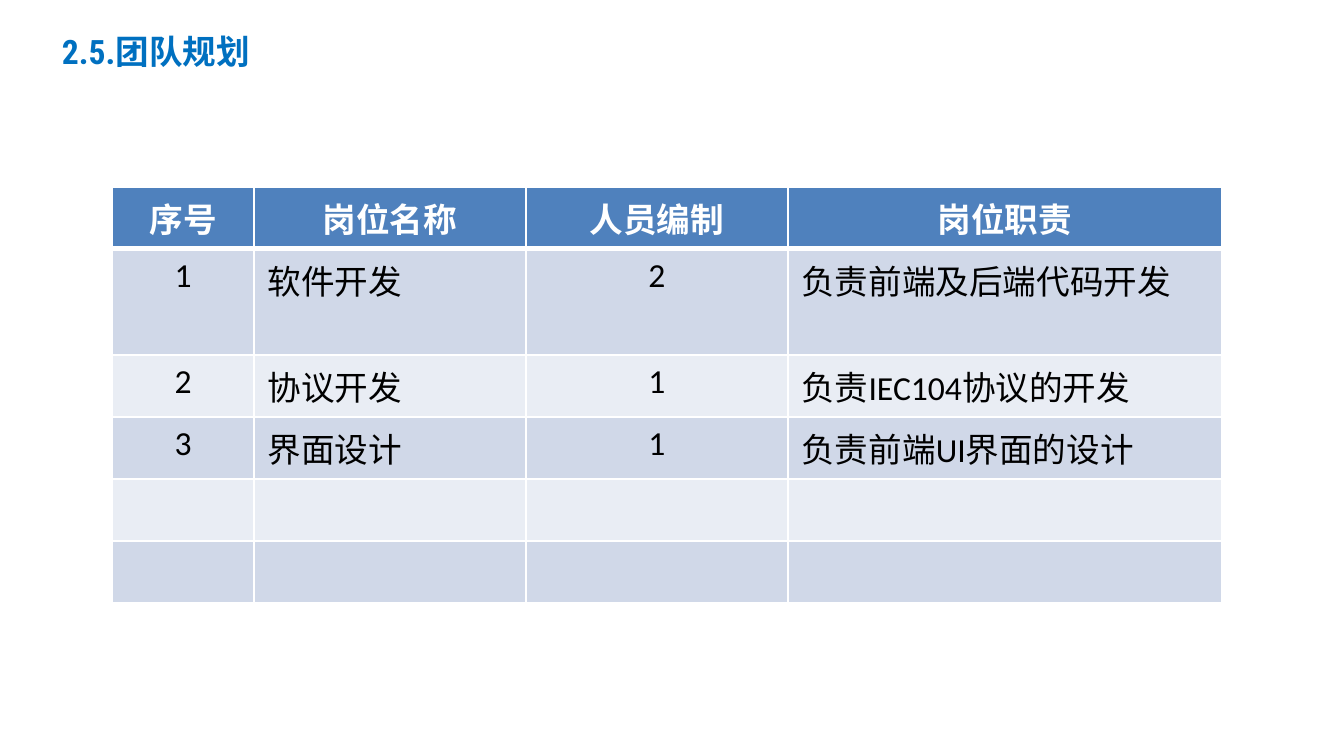
from lxml import etree
from pptx import Presentation
from pptx import util as u
from pptx.dml.color import RGBColor
from pptx.enum import text
from pptx.oxml.ns import qn

TITLE = "2.5.团队规划"
HEADER = ("序号", "岗位名称", "人员编制", "岗位职责")
POSITIONS = [
    ("1", "软件开发", "2", "负责前端及后端代码开发"),
    ("2", "协议开发", "1", "负责IEC104协议的开发"),
    ("3", "界面设计", "1", "负责前端UI界面的设计"),
    ("", "", "", ""),
    ("", "", "", ""),
]
CENTRED_COLUMNS = (0, 2)
COLUMN_WIDTHS = (142, 272, 262, 434)
ROW_HEIGHTS = (62, 106, 62, 62, 62, 62)
BANDS = ("D0D8E8", "E9EDF4")
HEADER_FILL, WHITE, BLACK, BLUE = "4F81BD", "FFFFFF", "000000", "0070C0"


def px(length):
    return u.Emu(round(length * 914400 / 134.4))


def colour(value):
    return RGBColor.from_string(value)


def style(paragraph, font_name, font_colour, bold):
    font = paragraph.font
    font.name, font.size, font.bold = font_name, u.Pt(18), bold
    font.color.rgb = colour(font_colour)


def add_borders(cell, bottom):
    """Draw white cell edges, 1 pt wide except the bottom one; call before filling."""
    properties = cell._tc.get_or_add_tcPr()
    for side, points in (("L", 1), ("R", 1), ("T", 1), ("B", bottom)):
        line = etree.SubElement(properties, qn(f"a:ln{side}"), w=str(u.Pt(points)))
        fill = etree.SubElement(line, qn("a:solidFill"))
        etree.SubElement(fill, qn("a:srgbClr"), val=WHITE)


def add_title(slide):
    frame = slide.shapes.add_textbox(px(62), px(31), px(610), px(40)).text_frame
    frame.word_wrap = True
    frame.margin_left = frame.margin_right = frame.margin_top = frame.margin_bottom = 0
    frame.vertical_anchor = text.MSO_ANCHOR.MIDDLE
    frame.text = TITLE
    style(frame.paragraphs[0], "Roboto Condensed", BLUE, True)


def add_team_table(slide):
    rows = [HEADER, *POSITIONS]
    team = slide.shapes.add_table(
        len(rows), len(HEADER), px(112), px(187),
        px(sum(COLUMN_WIDTHS)), px(sum(ROW_HEIGHTS))).table
    for column, width in zip(team.columns, COLUMN_WIDTHS):
        column.width = px(width)
    for row, height in zip(team.rows, ROW_HEIGHTS):
        row.height = px(height)

    for r, row in enumerate(rows):
        is_header = r == 0
        for c, wording in enumerate(row):
            cell = team.cell(r, c)
            add_borders(cell, bottom=3 if is_header else 1)
            cell.fill.solid()
            cell.fill.fore_color.rgb = colour(HEADER_FILL if is_header else BANDS[(r - 1) % 2])
            if not wording:
                continue
            cell.text = wording
            paragraph = cell.text_frame.paragraphs[0]
            style(paragraph, "Calibri", WHITE if is_header else BLACK, is_header)
            if is_header or c in CENTRED_COLUMNS:
                paragraph.alignment = text.PP_ALIGN.CENTER


def main():
    deck = Presentation()
    deck.slide_width, deck.slide_height = px(1344), px(756)
    slide = deck.slides.add_slide(deck.slide_layouts[6])
    add_title(slide)
    add_team_table(slide)
    deck.save("out.pptx")


if __name__ == "__main__":
    main()
